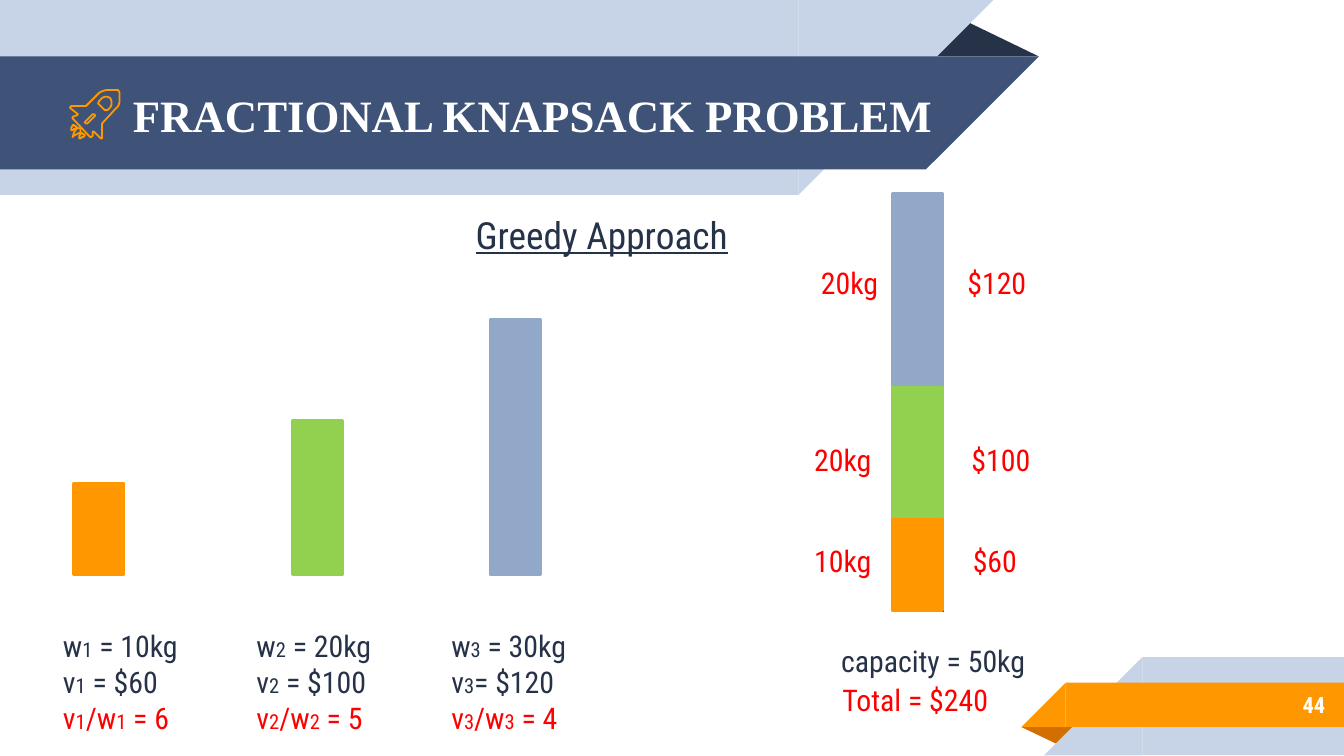
from dataclasses import dataclass

from pptx import Presentation
from pptx.dml.color import RGBColor
from pptx.enum.shapes import MSO_SHAPE
from pptx.enum.text import MSO_ANCHOR, MSO_AUTO_SIZE, PP_ALIGN
from pptx.oxml.ns import qn
from pptx.util import Inches, Pt


@dataclass(frozen=True)
class Theme:
    ink: str = "263248"
    navy: str = "3F5378"
    pale: str = "C7D3E6"
    steel: str = "92A8C8"
    green: str = "92D050"
    orange: str = "FF9800"
    rust: str = "D26F00"
    red: str = "FF0000"
    white: str = "FFFFFF"
    frame: str = "131924"
    body_font: str = "Roboto Condensed"
    title_font: str = "Times New Roman"
    title_size: int = 24
    heading_size: int = 20
    body_size: int = 16
    page_size: int = 12
    index_size: int = 11


THEME = Theme()
PAGE_WIDTH = 10
PAGE_HEIGHT = PAGE_WIDTH * 9 / 16
BAR_WIDTH = 0.37
BASELINE = 4.27

ROCKET_BODY = [
    [(76, 102), (76, 92), (86, 81), (88, 79), (89, 76), (89, 69), (88, 67),
     (86, 67), (79, 67), (76, 68), (74, 69), (64, 79), (53, 79), (52, 80),
     (53, 81), (58, 85), (57, 86), (54, 87), (54, 88), (67, 102), (68, 102),
     (69, 101), (69, 98), (70, 98), (75, 103), (76, 103)],
    [(65, 92), (64, 92), (63, 91), (64, 90), (69, 85), (70, 85), (71, 86),
     (70, 87)],
    [(80, 82), (79, 82), (78, 82), (74, 78), (73, 77), (74, 75), (76, 73),
     (78, 72), (80, 72), (82, 73), (83, 75), (83, 78), (82, 80)],
]
LARGE_FLAME = [(60, 96), (58, 95), (57, 96), (56, 97), (55, 99), (54, 102),
               (55, 101), (57, 100), (59, 99), (60, 99), (60, 97)]
SMALL_FLAME = [(62, 100), (61, 99), (60, 99), (60, 100), (59, 101), (59, 103),
               (60, 103), (61, 102), (62, 102), (63, 101), (63, 100)]


def colour(value):
    return RGBColor.from_string(value)


def add_block(shapes, kind, place, fill, line=None, line_width=2,
              rotation=0, flip=False, adjustment=None):
    block = shapes.add_shape(kind, *map(Inches, place))
    block.shadow.inherit = False
    block.fill.solid()
    block.fill.fore_color.rgb = colour(fill)
    if line:
        block.line.color.rgb = colour(line)
        block.line.width = Pt(line_width)
    else:
        block.line.fill.background()
    block.rotation = rotation
    if flip:
        block._element.spPr.find(qn("a:xfrm")).set("flipH", "1")
    if adjustment is not None:
        block.adjustments[0] = adjustment


def add_fold(shapes, place, fill, rotation=0):
    add_block(shapes, MSO_SHAPE.ISOSCELES_TRIANGLE, place, fill,
              rotation=rotation, adjustment=0.32)


def add_top_band(shapes, top, width, height, fill):
    add_block(shapes, MSO_SHAPE.RECTANGLE, (0, top, width, height), fill,
              rotation=180, flip=True)
    add_block(shapes, MSO_SHAPE.RIGHT_TRIANGLE, (width, top, height, height),
              fill, rotation=180, flip=True)


def add_bottom_band(shapes, left, top, height, fill):
    add_block(shapes, MSO_SHAPE.RECTANGLE,
              (left, top, PAGE_WIDTH - left, height), fill, flip=True)
    add_block(shapes, MSO_SHAPE.RIGHT_TRIANGLE,
              (left - height, top, height, height), fill, flip=True)


def add_ribbons(page):
    header = page.shapes.add_group_shape().shapes
    add_fold(header, (6.88, 0.14, 0.85, 0.28), THEME.ink)
    add_top_band(header, 0, 5.94, 1.45, THEME.pale)
    add_top_band(header, 0.42, 6.89, 0.84, THEME.navy)
    footer = page.shapes.add_group_shape().shapes
    add_fold(footer, (7.6, 5.41, 0.43, 0.14), THEME.rust, rotation=180)
    add_bottom_band(footer, 8.5, 4.89, 0.73, THEME.pale)
    add_bottom_band(footer, 7.93, 5.08, 0.33, THEME.orange)


def add_outline(shapes, contours, shift=(0, 0)):
    moved = [[(x + shift[0], y + shift[1]) for x, y in contour]
             for contour in contours]
    builder = shapes.build_freeform(*moved[0][0], scale=Inches(0.01))
    builder.add_line_segments(moved[0][1:], close=True)
    for contour in moved[1:]:
        builder.move_to(*contour[0])
        builder.add_line_segments(contour[1:], close=True)
    outline = builder.convert_to_shape()
    outline.shadow.inherit = False
    outline.fill.background()
    outline.line.color.rgb = colour(THEME.orange)
    outline.line.width = Pt(0.96)


def add_rocket(page):
    shapes = page.shapes.add_group_shape().shapes
    add_outline(shapes, ROCKET_BODY)
    add_outline(shapes, [LARGE_FLAME])
    for shift in [(0, 0), (-6, -6)]:
        add_outline(shapes, [SMALL_FLAME], shift)


def add_span(para, text, size, ink, font=THEME.body_font, bold=None,
             underline=None):
    span = para.add_run()
    span.text = text
    span.font.name = font
    span.font.size = Pt(size)
    span.font.color.rgb = colour(ink)
    span.font.bold = bold
    span.font.underline = underline


def add_frame(page, place, wrap=False):
    frame = page.shapes.add_textbox(*map(Inches, place)).text_frame
    frame.word_wrap = wrap
    frame.auto_size = MSO_AUTO_SIZE.NONE if wrap else MSO_AUTO_SIZE.SHAPE_TO_FIT_TEXT
    return frame


def add_banner_text(page, place, text, size, font, align):
    frame = add_frame(page, place, wrap=True)
    frame.vertical_anchor = MSO_ANCHOR.MIDDLE
    frame.margin_top = frame.margin_bottom = Inches(0.1)
    para = frame.paragraphs[0]
    para.alignment = align
    add_span(para, text, size, THEME.white, font, bold=True)


def add_label(page, place, text, ink=THEME.red, size=THEME.body_size,
              underline=None):
    para = add_frame(page, place).paragraphs[0]
    add_span(para, text, size, ink, underline=underline)


def add_formulas(page, left, width, lines):
    frame = add_frame(page, (left, 4.62, width, 0.91))
    for row, line in enumerate(lines):
        para = frame.add_paragraph() if row else frame.paragraphs[0]
        ink = THEME.red if row == len(lines) - 1 else THEME.ink
        for position, text in enumerate(line.split("_")):
            size = THEME.index_size if position % 2 else THEME.body_size
            add_span(para, text, size, ink)


def add_bar(page, left, top, height, fill):
    add_block(page.shapes, MSO_SHAPE.RECTANGLE, (left, top, BAR_WIDTH, height),
              fill, line=fill)


def add_items(page):
    items = [
        (0.55, 0.67, THEME.orange, 0.37, 1.1,
         ["w_1_ = 10kg", "v_1_ = $60", "v_1_/w_1_ = 6"]),
        (2.18, 1.14, THEME.green, 1.81, 1.1,
         ["w_2_ = 20kg", "v_2_ = $100", "v_2_/w_2_ = 5"]),
        (3.65, 1.89, THEME.steel, 3.26, 1.06,
         ["w_3_ = 30kg", "v_3_= $120", "v_3_/w_3_ = 4"]),
    ]
    for left, height, fill, text_left, text_width, lines in items:
        add_bar(page, left, BASELINE - height, height, fill)
        add_formulas(page, text_left, text_width, lines)


def add_knapsack(page):
    add_block(page.shapes, MSO_SHAPE.RECTANGLE, (6.65, 1.45, BAR_WIDTH, 3.1),
              THEME.white, line=THEME.frame, line_width=0.25)
    portions = [
        (2.73, 1.14, THEME.green, 3.24, (5.96, "20kg"), (7.13, 0.64, "$100")),
        (3.87, 0.67, THEME.orange, 3.99, (5.96, "10kg"), (7.14, 0.53, "$60")),
        (1.44, 1.42, THEME.steel, 1.92, (6.01, "20kg"), (7.1, 0.64, "$120")),
    ]
    for top, height, fill, label_top, weight, value in portions:
        add_bar(page, 6.64, top, height, fill)
        weight_left, weight_text = weight
        value_left, value_width, value_text = value
        add_label(page, (weight_left, label_top, 0.63, 0.37), weight_text)
        add_label(page, (value_left, label_top, value_width, 0.37), value_text)
    add_label(page, (6.16, 4.73, 1.59, 0.37), "capacity = 50kg", THEME.ink)
    add_label(page, (6.17, 5.02, 1.31, 0.37), "Total = $240")


def main():
    deck = Presentation()
    deck.slide_width, deck.slide_height = Inches(PAGE_WIDTH), Inches(PAGE_HEIGHT)
    page = deck.slides.add_slide(deck.slide_layouts[6])
    add_ribbons(page)
    add_banner_text(page, (0.89, 0.43, 6.19, 0.84), "FRACTIONAL KNAPSACK PROBLEM",
                    THEME.title_size, THEME.title_font, PP_ALIGN.LEFT)
    add_banner_text(page, (8.33, 5.07, 1.63, 0.35), "44",
                    THEME.page_size, THEME.body_font, PP_ALIGN.RIGHT)
    add_rocket(page)
    add_items(page)
    add_knapsack(page)
    add_label(page, (3.44, 1.53, 2.1, 0.44), "Greedy Approach", THEME.ink,
              THEME.heading_size, underline=True)
    deck.save("out.pptx")


if __name__ == "__main__":
    main()
